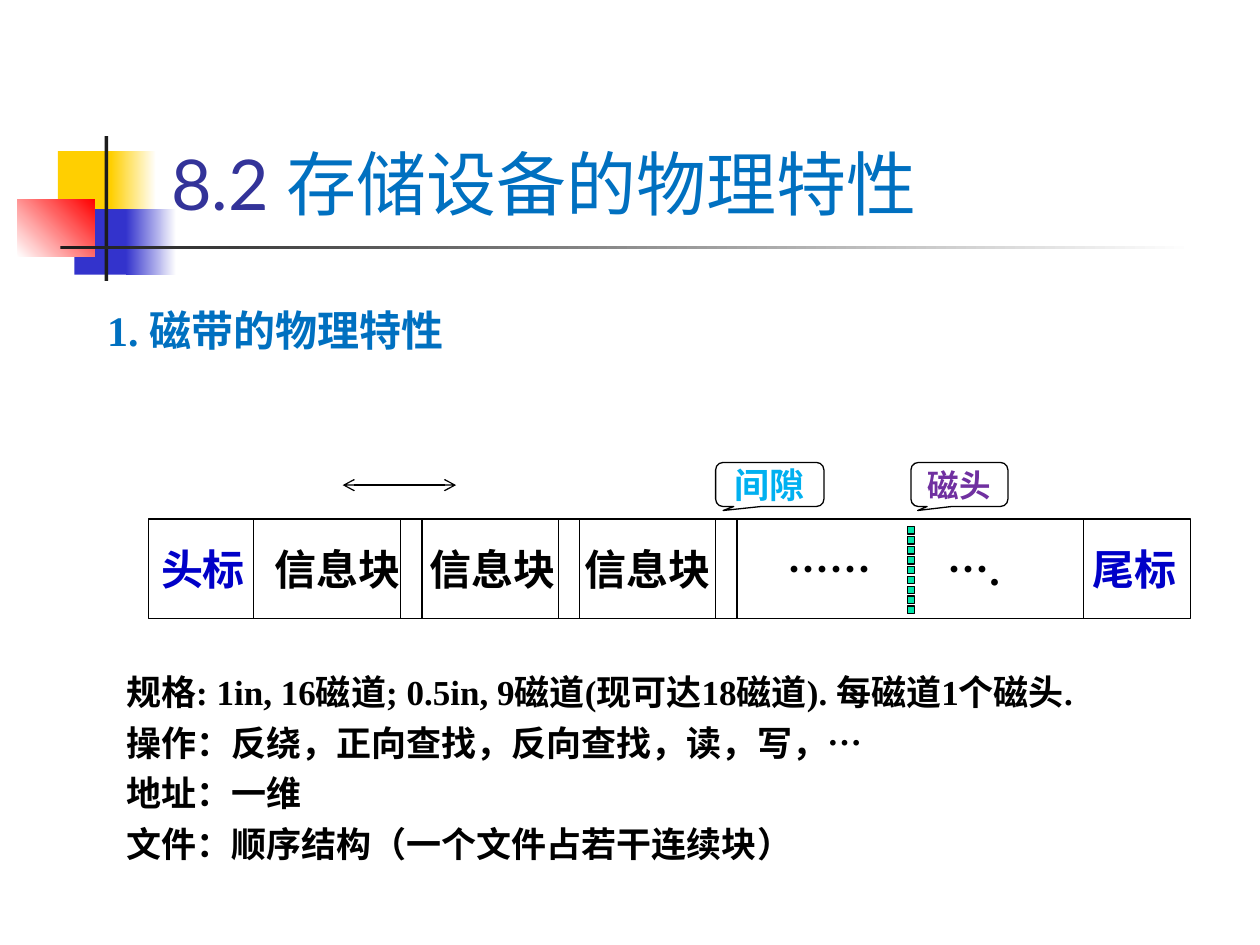
from dataclasses import dataclass

from lxml import etree
from pptx import Presentation
from pptx.dml.color import RGBColor
from pptx.enum.shapes import MSO_CONNECTOR, MSO_SHAPE
from pptx.enum.text import MSO_ANCHOR, MSO_AUTO_SIZE, PP_ALIGN
from pptx.oxml.ns import qn
from pptx.util import Inches, Pt

RECT = MSO_SHAPE.RECTANGLE
BUBBLE = MSO_SHAPE.ROUNDED_RECTANGULAR_CALLOUT
LINE = MSO_CONNECTOR.STRAIGHT
LEFT, CENTER = PP_ALIGN.LEFT, PP_ALIGN.CENTER
TOP, MIDDLE, BOTTOM = MSO_ANCHOR.TOP, MSO_ANCHOR.MIDDLE, MSO_ANCHOR.BOTTOM
FIXED = MSO_AUTO_SIZE.NONE


@dataclass(frozen=True)
class Theme:
    """Colours, fonts and type sizes of the slide."""
    white: str = "FFFFFF"
    black: str = "000000"
    ink: str = "1C1C1C"
    gold: str = "FFCF01"
    blue: str = "3333CC"
    red: str = "FF0000"
    navy: str = "333399"
    sky: str = "0070C0"
    cyan: str = "00B0F0"
    plum: str = "7030A0"
    label: str = "0000C8"
    mint: str = "00E4A8"
    sans: str = "Lato"
    serif: str = "Times New Roman"
    title: int = 40
    head: int = 24
    body: int = 20
    small: int = 18
    rule: float = 0.75


T = Theme()


def rgb(code):
    """Turn a hex code into a colour."""
    return RGBColor.from_string(code)


def place(shape, box):
    """Move a shape to a box in inches."""
    shape.left, shape.top, shape.width, shape.height = map(Inches, box)


def add_run(para, text, size, color, font=T.serif, bold=True):
    """Add one formatted run."""
    run = para.add_run()
    run.text = text
    run.font.size = Pt(size)
    run.font.name = font
    run.font.bold = bold
    run.font.color.rgb = rgb(color)


def set_frame(shape, anchor, wrap=True):
    """Set anchor, wrapping and insets of a text frame."""
    frame = shape.text_frame
    frame.auto_size = FIXED
    frame.word_wrap = wrap
    frame.vertical_anchor = anchor
    frame.margin_left = frame.margin_right = Inches(0.1)
    frame.margin_top = frame.margin_bottom = Inches(0.05)
    return frame


def add_block(slide, box, fill, line=None, kind=RECT):
    """Add a plain filled shape."""
    block = slide.shapes.add_shape(kind, *map(Inches, box))
    block.shadow.inherit = False
    block.fill.solid()
    block.fill.fore_color.rgb = rgb(fill)
    if line:
        block.line.color.rgb = rgb(line)
        block.line.width = Pt(T.rule)
    else:
        block.line.fill.background()
    return block


def add_fade(slide, box, start, end, angle=0):
    """Add a block with a two-colour gradient."""
    fill = add_block(slide, box, start).fill
    fill.gradient()
    fill.gradient_angle = angle
    for stop, color in zip(fill.gradient_stops, (start, end)):
        stop.color.rgb = rgb(color)


def add_line(slide, x1, y1, x2, y2, arrows=False):
    """Add a thin line, with open arrows at both ends on request."""
    line = slide.shapes.add_connector(LINE, *map(Inches, (x1, y1, x2, y2)))
    line.line.color.rgb = rgb(T.black)
    line.line.width = Pt(T.rule)
    if arrows:
        for tag in ("a:headEnd", "a:tailEnd"):
            etree.SubElement(line.line._get_or_add_ln(), qn(tag), type="arrow")
    etree.SubElement(line._element.spPr, qn("a:effectLst"))


def add_motif(slide, box):
    """Draw the coloured squares and the rules beside the title."""
    x, y, wide, high = box
    add_block(slide, (x + 0.32, y + 0.12, 0.48, 0.52), T.gold)
    add_fade(slide, (x + 0.74, y + 0.12, 0.36, 0.52), T.gold, T.white)
    add_block(slide, (x + 0.45, y + 0.58, 0.46, 0.52), T.blue)
    add_fade(slide, (x + 0.86, y + 0.58, 0.4, 0.52), T.blue, T.white)
    add_fade(slide, (x, y + 0.5, 0.61, 0.46), T.white, T.red, 45)
    add_block(slide, (x + 0.69, y, 0.03, high), T.ink)
    add_fade(slide, (x + 0.34, y + 0.87, wide - 0.34, 0.03), T.ink, T.white)


def fill_title(holder, box):
    """Write the slide title."""
    place(holder, box)
    para = set_frame(holder, BOTTOM).paragraphs[0]
    para.alignment = LEFT
    add_run(para, "8.2 ", T.title, T.navy, T.sans, False)
    add_run(para, "存储设备的物理特性", T.title, T.sky, bold=False)


def fill_list(holder, box, lines, size, color, gap=0):
    """Write unbulleted lines into a body placeholder."""
    place(holder, box)
    frame = set_frame(holder, TOP)
    for i, text in enumerate(lines):
        para = frame.add_paragraph() if i else frame.paragraphs[0]
        props = para._p.get_or_add_pPr()
        props.set("marL", "0")
        props.set("indent", "0")
        etree.SubElement(props, qn("a:buNone"))
        para.alignment = LEFT
        para.space_before = Pt(gap if i else 0)
        add_run(para, text, size, color)


def add_tape(slide, box):
    """Draw the tape with its labels, gaps and dividers."""
    x, y, wide, high = box
    tape = add_block(slide, box, T.white, T.black)
    para = set_frame(tape, MIDDLE).paragraphs[0]
    para.alignment = LEFT
    tabs = etree.SubElement(para._p.get_or_add_pPr(), qn("a:tabLst"))
    for stop in (0.9, 2.13, 3.36, 4.97, 6.24, 7.39):
        etree.SubElement(tabs, qn("a:tab"), pos=str(Inches(stop)), algn="l")
    add_run(para, "头标", T.head, T.label)
    add_run(para, "\t信息块\t信息块\t信息块\t……\t….\t", T.head, T.black)
    add_run(para, "尾标", T.head, T.label)
    gaps = [2 + 1.25 * i + side for i in range(3) for side in (0, 0.17)]
    for step in (0.83, *gaps, 7.42):
        add_line(slide, x + step, y, x + step, y + high)


def add_heads(slide, box):
    """Stack the nine track heads."""
    x, y, side, high = box
    pitch = (high - side) / 8
    for i in range(9):
        add_block(slide, (x, y + i * pitch, side, side), T.mint, T.black)


def add_note(slide, box, text, size, color):
    """Add a labelled callout."""
    note = add_block(slide, box, T.white, T.black, BUBBLE)
    for i, value in enumerate((-0.43, 0.59, 0.17)):
        note.adjustments[i] = value
    para = set_frame(note, MIDDLE, False).paragraphs[0]
    para.alignment = CENTER
    add_run(para, text, size, color)


def main():
    """Build and save the slide."""
    deck = Presentation()
    deck.slide_width, deck.slide_height = Inches(10), Inches(7.5)
    slide = deck.slides.add_slide(deck.slide_layouts[3])
    title, head, facts = slide.placeholders
    add_motif(slide, (0.14, 1.08, 9.34, 1.15))
    fill_title(title, (1.26, 0.23, 8.52, 1.6))
    fill_list(head, (0.75, 2.37, 8.75, 1.02), ["1. 磁带的物理特性"], T.head, T.sky)
    add_tape(slide, (1.18, 4.12, 8.27, 0.79))
    add_heads(slide, (7.2, 4.18, 0.06, 0.69))
    add_note(slide, (5.68, 3.67, 0.86, 0.35), "间隙", T.body, T.cyan)
    add_note(slide, (7.23, 3.67, 0.77, 0.35), "磁头", T.small, T.plum)
    add_line(slide, 2.72, 3.85, 3.62, 3.85, True)
    fill_list(facts, (0.9, 5.27, 8.78, 1.64), [
        "规格: 1in, 16磁道; 0.5in, 9磁道(现可达18磁道). 每磁道1个磁头.",
        "操作：反绕，正向查找，反向查找，读，写，…",
        "地址：一维",
        "文件：顺序结构（一个文件占若干连续块）",
    ], T.body, T.black, 5)
    deck.save("out.pptx")


if __name__ == "__main__":
    main()
